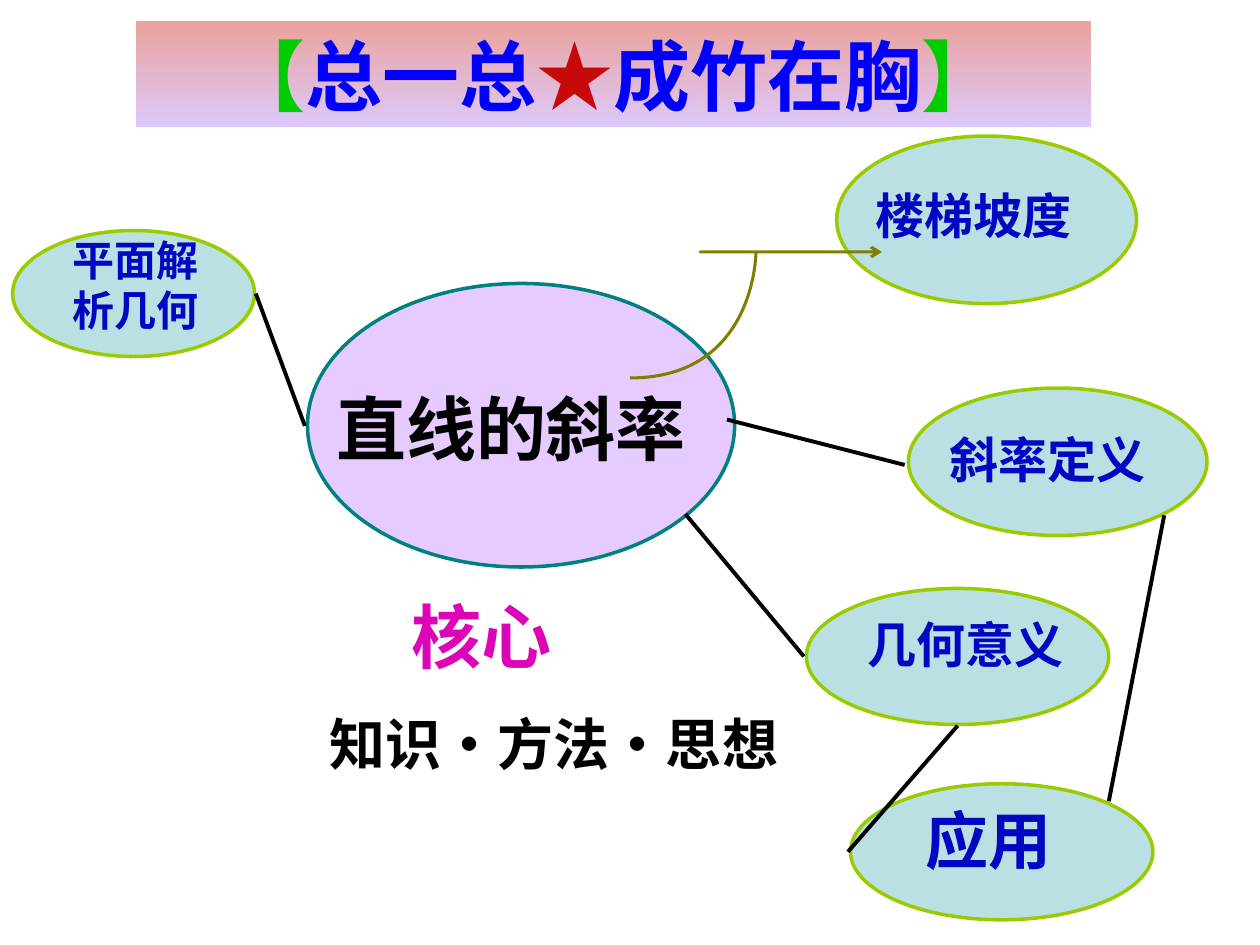
"""Build a mind map slide that sums up the slope of a straight line."""
from lxml import etree
from pptx import Presentation, util as u
from pptx.dml.color import RGBColor
from pptx.enum import shapes, text
from pptx.oxml.ns import qn

HUES = {
    "black": "000000", "blue": "0000FF", "navy": "0207C4", "green": "00CC00",
    "red": "C60A0A", "pink": "DB05B7", "lilac": "CC99FF", "teal": "008080",
    "pale": "BBE0E3", "lime": "99CC00", "olive": "808000",
    "top": "EAA29C", "base": "DDC9FB",
}
FONT = "Times New Roman"
TITLE = [("【", "green"), ("总一总", "blue"), ("★", "red"),
         ("成竹在胸", "blue"), ("】", "green")]
BANNER = (1.08, 0.17, 7.58, 0.84)
CORE = (2.44, 2.25, 3.39, 2.25)
NODES = [(6.64, 1.08, 2.38, 1.33), (6.4, 4.67, 2.4, 1.08),
         (7.21, 3.08, 2.37, 1.17), (0.1, 1.83, 1.92, 1), (6.75, 6.22, 2.4, 1.08)]
LABELS = [
    ("楼梯坡度", 28, "navy", (6.85, 1.42, 1.94, 0.57)),
    ("核心", 40, "pink", (3.17, 4.66, 1.54, 0.77)),
    ("知识•方法•思想", 32, "black", (2.52, 5.58, 4.33, 0.64)),
    ("几何意义", 28, "navy", (6.79, 4.83, 1.94, 0.57)),
    ("直线的斜率", 40, "black", (2.57, 3.01, 3.1, 0.77)),
    ("斜率定义", 28, "navy", (7.44, 3.36, 1.94, 0.57)),
    ("平面解析几何", 24, "navy", (0.48, 1.81, 1.4, 0.9)),
    ("应用", 36, "navy", (7.25, 6.31, 1.3, 0.7)),
]
LINKS = [(5.44, 4.08, 6.38, 5.21), (5.77, 3.33, 7.18, 3.69),
         (2.03, 2.33, 2.42, 3.38), (7.6, 5.76, 6.73, 6.76),
         (9.24, 4.09, 8.8, 6.36)]
CURVE = [(5.27, 2.58), (5.84, 2.51), (6.41, 2.43), (6.45, 2.37), (6.49, 2.31),
         (5.55, 2.26), (5.51, 2.22), (5.47, 2.19), (6.02, 2.19), (6.22, 2.15),
         (6.41, 2.12), (6.61, 2.03), (6.69, 2.01)]


def rgb(hue):
    """Return the colour of a named hue."""
    return RGBColor.from_string(HUES[hue])


def inch(box):
    """Turn numbers into lengths."""
    return [u.Inches(n) for n in box]


def put(item, **vals):
    """Set each named value on an object."""
    for name, val in vals.items():
        setattr(item, name, val)


def write(para, words, size, hue):
    """Add one bold run."""
    run = para.add_run()
    run.text = words
    put(run.font, size=u.Pt(size), name=FONT, bold=True)
    run.font.color.rgb = rgb(hue)


def stroke(line, hue, width):
    """Colour a line and set its width."""
    line.color.rgb = rgb(hue)
    line.width = u.Pt(width)


def add_head(slide):
    """Fill the title banner."""
    head = slide.shapes.title
    put(head, **dict(zip(("left", "top", "width", "height"), inch(BANNER))))
    head.fill.gradient()
    head.fill.gradient_angle = 270
    for stop, hue in zip(head.fill.gradient_stops, ("top", "base")):
        stop.color.rgb = rgb(hue)
    frame = head.text_frame
    put(frame, auto_size=text.MSO_AUTO_SIZE.NONE, word_wrap=True,
        vertical_anchor=text.MSO_ANCHOR.MIDDLE)
    para = frame.paragraphs[0]
    para.alignment = text.PP_ALIGN.CENTER
    for words, hue in TITLE:
        write(para, words, 44, hue)


def add_oval(slide, box, fill, edge):
    """Draw an outlined oval."""
    oval = slide.shapes.add_shape(shapes.MSO_SHAPE.OVAL, *inch(box))
    oval.shadow.inherit = False
    oval.fill.solid()
    oval.fill.fore_color.rgb = rgb(fill)
    stroke(oval.line, edge, 2)
    return oval


def add_label(slide, words, size, hue, box):
    """Place a text label."""
    frame = slide.shapes.add_textbox(*inch(box)).text_frame
    frame.word_wrap = True
    write(frame.paragraphs[0], words, size, hue)


def add_link(slide, ends):
    """Draw a straight link."""
    link = slide.shapes.add_connector(shapes.MSO_CONNECTOR.STRAIGHT, *inch(ends))
    stroke(link.line, "black", 2.25)
    etree.SubElement(link._element.spPr, qn("a:effectLst"))


def add_curve(slide):
    """Draw the winding arrow, three points to each Bezier segment."""
    start, *rest = CURVE
    pen = slide.shapes.build_freeform(*start, scale=u.Inches(1) / 1.0)
    pen.add_line_segments(rest, close=False)
    curve = pen.convert_to_shape()
    curve.shadow.inherit = False
    curve.fill.background()
    stroke(curve.line, "olive", 1.75)
    steps = list(curve._element.iter(qn("a:lnTo")))
    for at in range(0, len(steps), 3):
        first, *more = steps[at:at + 3]
        bend = etree.Element(qn("a:cubicBezTo"))
        first.addprevious(bend)
        for step in (first, *more):
            bend.append(step[0])
            step.getparent().remove(step)
    etree.SubElement(curve.line._get_or_add_ln(), qn("a:tailEnd"), type="arrow")


def main():
    """Build and save the slide."""
    deck = Presentation()
    put(deck, slide_width=u.Inches(10), slide_height=u.Inches(7.5))
    slide = deck.slides.add_slide(deck.slide_layouts[5])
    add_head(slide)
    core = add_oval(slide, CORE, "lilac", "teal")
    tint = core._element.spPr.find(qn("a:solidFill"))[0]
    etree.SubElement(tint, qn("a:alpha"), val="50000")
    for box in NODES:
        add_oval(slide, box, "pale", "lime")
    add_curve(slide)
    for label in LABELS:
        add_label(slide, *label)
    for ends in LINKS:
        add_link(slide, ends)
    deck.save("out.pptx")


if __name__ == "__main__":
    main()
